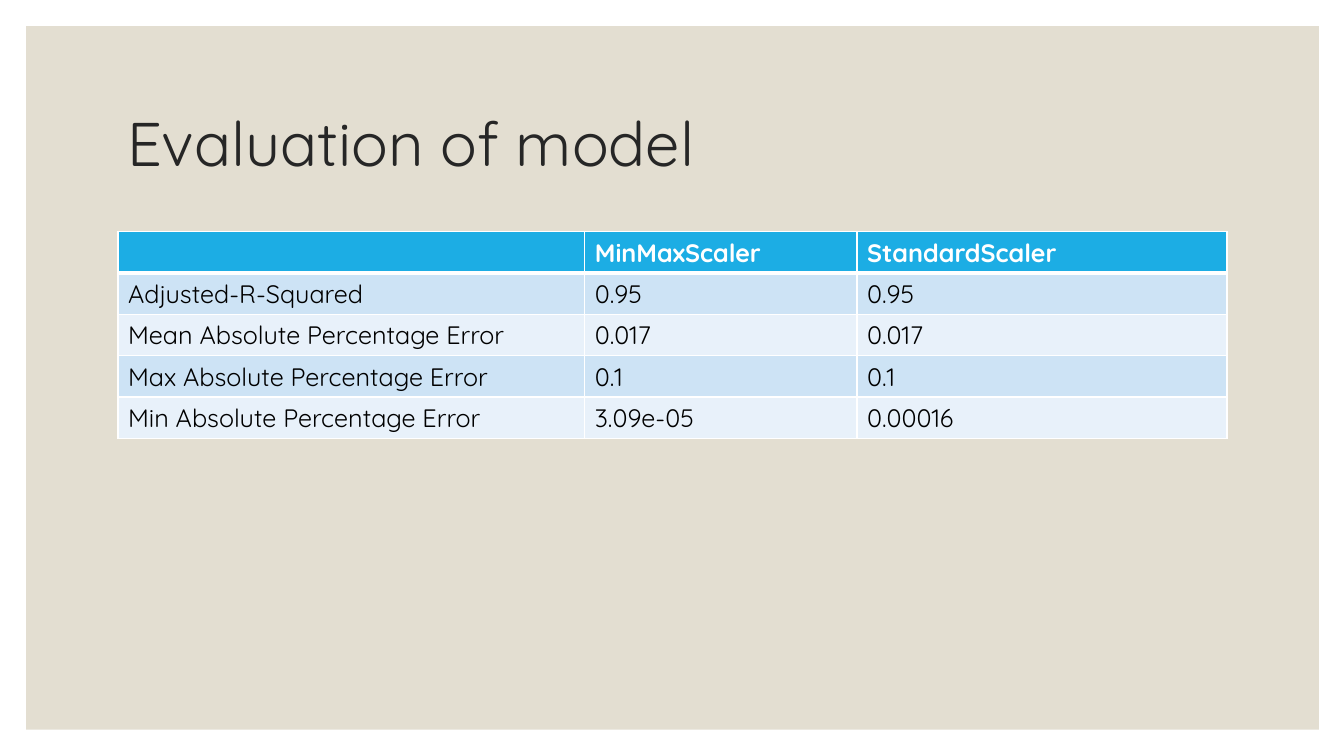
from dataclasses import dataclass

from lxml.etree import SubElement
from pptx import Presentation
from pptx.dml.color import RGBColor
from pptx.enum.shapes import MSO_SHAPE
from pptx.enum.text import MSO_ANCHOR
from pptx.oxml.ns import qn
from pptx.slide import Slide
from pptx.table import _Cell
from pptx.text.text import _Paragraph
from pptx.util import Inches, Pt

FONT = "Quicksand"
COLORS = {
    "panel": "E3DED1",
    "title": "262626",
    "head": "1CADE4",
    "odd": "CDE3F5",
    "even": "E8F1FA",
    "white": "FFFFFF",
    "black": "000000",
}
LEFT, WIDTH = 1.17, 11
WIDTHS = (4.63, 2.7, 3.67)
HEIGHT = 0.41


@dataclass(frozen=True)
class Score:
    label: str
    minmax: str
    standard: str


SCORES = (
    Score("", "MinMaxScaler", "StandardScaler"),
    Score("Adjusted-R-Squared", "0.95", "0.95"),
    Score("Mean Absolute Percentage Error", "0.017", "0.017"),
    Score("Max Absolute Percentage Error", "0.1", "0.1"),
    Score("Min Absolute Percentage Error", "3.09e-05", "0.00016"),
)


def color(name: str) -> RGBColor:
    return RGBColor.from_string(COLORS[name])


def write(para: _Paragraph, text: str, size: float, tone: str, bold: bool = False) -> None:
    run = para.add_run()
    run.text = text
    form = {"name": FONT, "size": Pt(size), "bold": bold}
    for key, value in form.items():
        setattr(run.font, key, value)
    run.font.color.rgb = color(tone)


def border(cell: _Cell, sides: dict[str, float]) -> None:
    """Draw white cell edges; sides maps L, R, T, B, in that order, to points."""
    props = cell._tc.get_or_add_tcPr()
    for side, width in sides.items():
        line = SubElement(props, qn(f"a:ln{side}"), w=str(Pt(width)))
        fill = SubElement(line, qn("a:solidFill"))
        SubElement(fill, qn("a:srgbClr"), val=COLORS["white"])


def add_panel(slide: Slide) -> None:
    box = map(Inches, (0.26, 0.26, 12.82, 6.98))
    panel = slide.shapes.add_shape(MSO_SHAPE.RECTANGLE, *box)
    panel.shadow.inherit = False
    panel.fill.solid()
    panel.fill.fore_color.rgb = color("panel")
    panel.line.fill.background()


def add_title(slide: Slide, text: str) -> None:
    box = map(Inches, (LEFT, 0.7, WIDTH, 1.5))
    frame = slide.shapes.add_textbox(*box).text_frame
    form = {"word_wrap": True, "vertical_anchor": MSO_ANCHOR.MIDDLE}
    for key, value in form.items():
        setattr(frame, key, value)
    para = frame.paragraphs[0]
    para.line_spacing = 0.9
    write(para, text, 44, "title")


def add_scores(slide: Slide) -> None:
    count = len(SCORES)
    box = map(Inches, (LEFT, 2.3, WIDTH, HEIGHT * count))
    table = slide.shapes.add_table(count, len(WIDTHS), *box).table
    for col, width in zip(table.columns, WIDTHS):
        col.width = Inches(width)
    for i, score in enumerate(SCORES):
        table.rows[i].height = Inches(HEIGHT)
        head = i == 0
        tone = "head" if head else "odd" if i % 2 else "even"
        sides = {"L": 1, "R": 1, "T": 3 if i == 1 else 1, "B": 3 if head else 1}
        texts = (score.label, score.minmax, score.standard)
        for cell, text in zip(table.rows[i].cells, texts):
            border(cell, sides)
            cell.fill.solid()
            cell.fill.fore_color.rgb = color(tone)
            if text:
                ink = "white" if head else "black"
                write(cell.text_frame.paragraphs[0], text, 18, ink, head)


def main() -> None:
    deck = Presentation()
    deck.slide_width, deck.slide_height = Inches(13.33), Inches(7.5)
    slide = deck.slides.add_slide(deck.slide_layouts[6])
    add_panel(slide)
    add_title(slide, "Evaluation of model")
    add_scores(slide)
    deck.save("out.pptx")


if __name__ == "__main__":
    main()
